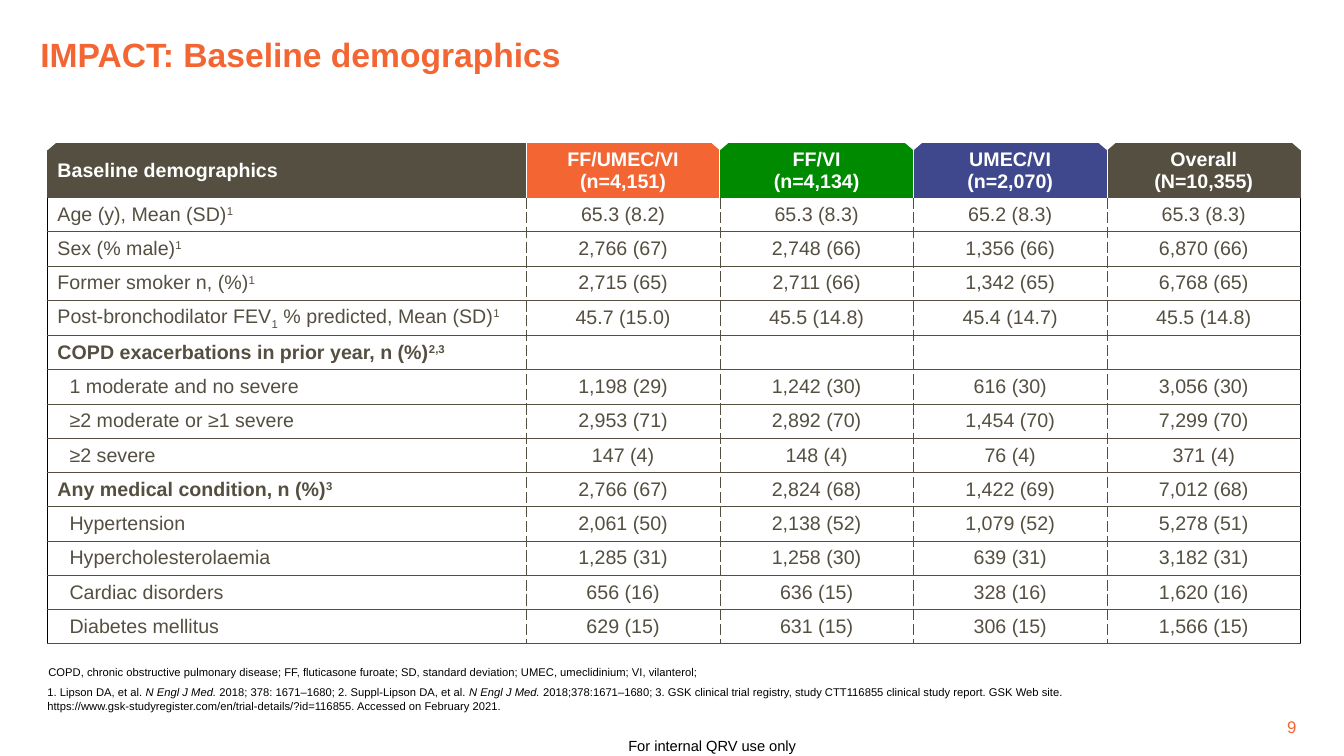
"""Build the slide of baseline demographics by treatment arm."""
from dataclasses import dataclass
from itertools import accumulate
from typing import Optional

from lxml.etree import SubElement as add_node
from pptx import Presentation
from pptx.dml.color import RGBColor as Rgb
from pptx.enum.shapes import MSO_SHAPE as Shape
from pptx.enum.text import MSO_ANCHOR as Anchor, MSO_AUTO_SIZE as Fit, PP_ALIGN as Align
from pptx.oxml.ns import qn
from pptx.slide import Slide
from pptx.table import _Cell as Cell
from pptx.text.text import TextFrame as Frame, _Paragraph as Para
from pptx.util import Inches, Pt

HUES = {"orange": "F36633", "green": "008A00", "blue": "40488D",
        "brown": "544F40", "white": "FFFFFF", "black": "000000"}
LEFT, TOP = 0.47, 1.42
COLS = [4.75] + [1.92] * 4
HEAD_H, ROW_H = 0.54, 0.34
CUT_W, CUT_H = 0.21, 0.09


@dataclass
class Run:
    """A piece of text with one look."""
    text: str
    base: int = 0
    slant: bool = False


@dataclass
class Look:
    """Size, colour and weight of a line of text."""
    size: float
    hue: str
    bold: bool = False
    align: Align = Align.LEFT


@dataclass
class Edge:
    """A cell border."""
    hue: str
    width: float = 0.75
    dash: bool = False


@dataclass
class Head:
    """A column heading."""
    lines: tuple[str, ...]
    hue: str


@dataclass
class Row:
    """A table row with its label, note mark and values."""
    label: str
    values: tuple[str, ...]
    note: str = ""
    bold: bool = False
    inset: bool = False
    low: str = ""
    rest: str = ""

    def runs(self) -> list[Run]:
        """Split the label into runs."""
        parts = [Run(self.label), Run(self.low, -25), Run(self.rest), Run(self.note, 30)]
        return [part for part in parts if part.text]


HEADS = [
    Head(("Baseline demographics",), "brown"),
    Head(("FF/UMEC/VI", "(n=4,151)"), "orange"),
    Head(("FF/VI", "(n=4,134)"), "green"),
    Head(("UMEC/VI", "(n=2,070)"), "blue"),
    Head(("Overall", "(N=10,355)"), "brown"),
]
ROWS = [
    Row("Age (y), Mean (SD)", ("65.3 (8.2)", "65.3 (8.3)", "65.2 (8.3)", "65.3 (8.3)"), "1"),
    Row("Sex (% male)", ("2,766 (67)", "2,748 (66)", "1,356 (66)", "6,870 (66)"), "1"),
    Row("Former smoker n, (%)", ("2,715 (65)", "2,711 (66)", "1,342 (65)", "6,768 (65)"), "1"),
    Row("Post-bronchodilator FEV", ("45.7 (15.0)", "45.5 (14.8)", "45.4 (14.7)", "45.5 (14.8)"),
        "1", low="1", rest=" % predicted, Mean (SD)"),
    Row("COPD exacerbations in prior year, n (%)", ("",) * 4, "2,3", bold=True),
    Row("1 moderate and no severe", ("1,198 (29)", "1,242 (30)", "616 (30)", "3,056 (30)"), inset=True),
    Row("≥2 moderate or ≥1 severe", ("2,953 (71)", "2,892 (70)", "1,454 (70)", "7,299 (70)"), inset=True),
    Row("≥2 severe", ("147 (4)", "148 (4)", "76 (4)", "371 (4)"), inset=True),
    Row("Any medical condition, n (%)", ("2,766 (67)", "2,824 (68)", "1,422 (69)", "7,012 (68)"),
        "3", bold=True),
    Row("Hypertension", ("2,061 (50)", "2,138 (52)", "1,079 (52)", "5,278 (51)"), inset=True),
    Row("Hypercholesterolaemia", ("1,285 (31)", "1,258 (30)", "639 (31)", "3,182 (31)"), inset=True),
    Row("Cardiac disorders", ("656 (16)", "636 (15)", "328 (16)", "1,620 (16)"), inset=True),
    Row("Diabetes mellitus", ("629 (15)", "631 (15)", "306 (15)", "1,566 (15)"), inset=True),
]
TERMS = [Run("COPD, chronic obstructive pulmonary disease; FF, fluticasone furoate; "
             "SD, standard deviation; UMEC, umeclidinium; VI, vilanterol;")]
WORKS = [
    Run("1. Lipson DA, et al. "), Run("N Engl J Med.", slant=True),
    Run(" 2018; 378: 1671–1680; 2. Suppl-Lipson DA, et al. "), Run("N Engl J Med.", slant=True),
    Run(" 2018;378:1671–1680; 3. GSK clinical trial registry, study CTT116855 clinical study report. "
        "GSK Web site. https://www.gsk-studyregister.com/en/trial-details/?id=116855. "
        "Accessed on February 2021."),
]


def write(para: Para, runs: list[Run], look: Look) -> None:
    """Add runs to a paragraph."""
    para.alignment = look.align
    para.space_before = Pt(0)
    for item in runs:
        run = para.add_run()
        run.text = item.text
        font = run.font
        font.name, font.size = "Arial", Pt(look.size)
        font.bold, font.italic = look.bold, item.slant
        font.color.rgb = Rgb.from_string(HUES[look.hue])
        if item.base:
            run._r.get_or_add_rPr().set("baseline", str(item.base * 1000))


def fill_box(shape, box: tuple[float, ...], runs: list[Run], look: Look,
             anchor: Anchor = Anchor.BOTTOM, pad: float = 0) -> None:
    """Place a text shape and write into it."""
    shape.left, shape.top, shape.width, shape.height = map(Inches, box)
    frame: Frame = shape.text_frame
    frame.word_wrap, frame.auto_size = True, Fit.NONE
    frame.vertical_anchor = anchor
    frame.margin_left = frame.margin_right = Inches(pad)
    frame.margin_top = frame.margin_bottom = Inches(pad)
    write(frame.paragraphs[0], runs, look)


def style(cell: Cell, hue: str, edges: list[Optional[Edge]]) -> None:
    """Set the borders (left, right, top, bottom), fill and margins of a cell."""
    props = cell._tc.get_or_add_tcPr()
    for side, edge in zip("LRTB", edges):
        line = add_node(props, qn(f"a:ln{side}"))
        if edge is None:
            add_node(line, qn("a:noFill"))
            continue
        line.set("w", str(Pt(edge.width)))
        paint = add_node(line, qn("a:solidFill"))
        add_node(paint, qn("a:srgbClr"), val=HUES[edge.hue])
        add_node(line, qn("a:prstDash"), val="dash" if edge.dash else "solid")
    cell.fill.solid()
    cell.fill.fore_color.rgb = Rgb.from_string(HUES[hue])
    cell.vertical_anchor = Anchor.MIDDLE


def draw_head(cell: Cell, head: Head, col: int) -> None:
    """Draw one heading cell."""
    rim, last = Edge("white"), len(COLS) - 1
    style(cell, head.hue, [rim if col else None, rim if col < last else None, None, None])
    cell.margin_top = cell.margin_bottom = Inches(0.04)
    look = Look(14, "white", True, Align.CENTER if col else Align.LEFT)
    for num, text in enumerate(head.lines):
        para = cell.text_frame.add_paragraph() if num else cell.text_frame.paragraphs[0]
        write(para, [Run(text)], look)


def draw_cell(cell: Cell, row: Row, col: int, first: bool) -> None:
    """Draw one body cell."""
    rim, rule, dash = Edge("black"), Edge("brown"), Edge("brown", 0.25, True)
    last = len(COLS) - 1
    style(cell, "white", [dash if col else rim, dash if col < last else rim,
                          None if first else rule, rule])
    para = cell.text_frame.paragraphs[0]
    if col == 0:
        write(para, row.runs(), Look(14, "brown", row.bold))
        if row.inset:
            para._p.get_or_add_pPr().set("marL", str(Inches(0.12)))
    elif row.values[col - 1]:
        write(para, [Run(row.values[col - 1])], Look(14, "brown", align=Align.CENTER))
    else:
        add_node(para._p, qn("a:endParaRPr"), sz="1400")


def draw_grid(slide: Slide) -> None:
    """Draw the table and cut the corners of its headings."""
    high = HEAD_H + ROW_H * len(ROWS)
    grid = slide.shapes.add_table(len(ROWS) + 1, len(COLS), Inches(LEFT), Inches(TOP),
                                  Inches(sum(COLS)), Inches(high)).table
    grid.horz_banding = grid.first_row = False
    for num, line in enumerate(grid.rows):
        line.height = Inches(ROW_H if num else HEAD_H)
    for col, width in enumerate(COLS):
        grid.columns[col].width = Inches(width)
        draw_head(grid.cell(0, col), HEADS[col], col)
        for num, row in enumerate(ROWS, 1):
            draw_cell(grid.cell(num, col), row, col, num == 1)
    ends = list(accumulate(COLS, initial=LEFT))
    for mid in ends[:1] + ends[2:]:
        cut = slide.shapes.add_shape(Shape.ISOSCELES_TRIANGLE, Inches(mid - CUT_W / 2), Inches(1.4),
                                     Inches(CUT_W), Inches(CUT_H))
        cut.rotation = 180
        cut.shadow.inherit = False
        cut.fill.solid()
        cut.fill.fore_color.rgb = Rgb.from_string(HUES["white"])
        cut.line.fill.background()


def main() -> None:
    """Build and save the slide."""
    deck = Presentation()
    deck.slide_width, deck.slide_height = Inches(13.33), Inches(7.5)
    slide = deck.slides.add_slide(deck.slide_layouts.get_by_name("Comparison"))
    title, terms, spare, works, extra = slide.placeholders
    for item in (spare, extra):
        item.element.getparent().remove(item.element)
    fill_box(title, (0.4, 0.27, 12.53, 0.47), [Run("IMPACT: Baseline demographics")],
             Look(24, "orange", True))
    fill_box(terms, (0.48, 6.52, 12.3, 0.21), TERMS, Look(8, "black"))
    fill_box(works, (0.47, 6.8, 10.61, 0.51), WORKS, Look(8, "black"), Anchor.TOP)
    foot, page = (slide.shapes.add_textbox(0, 0, 0, 0) for _ in range(2))
    fill_box(foot, (3.73, 7.26, 6.67, 0.29), [Run("For internal QRV use only")],
             Look(10.5, "black", align=Align.CENTER), Anchor.TOP, 0.05)
    fill_box(page, (12.3, 6.91, 0.56, 0.4), [Run("9")], Look(12, "orange", align=Align.RIGHT))
    draw_grid(slide)
    deck.save("out.pptx")


if __name__ == "__main__":
    main()
